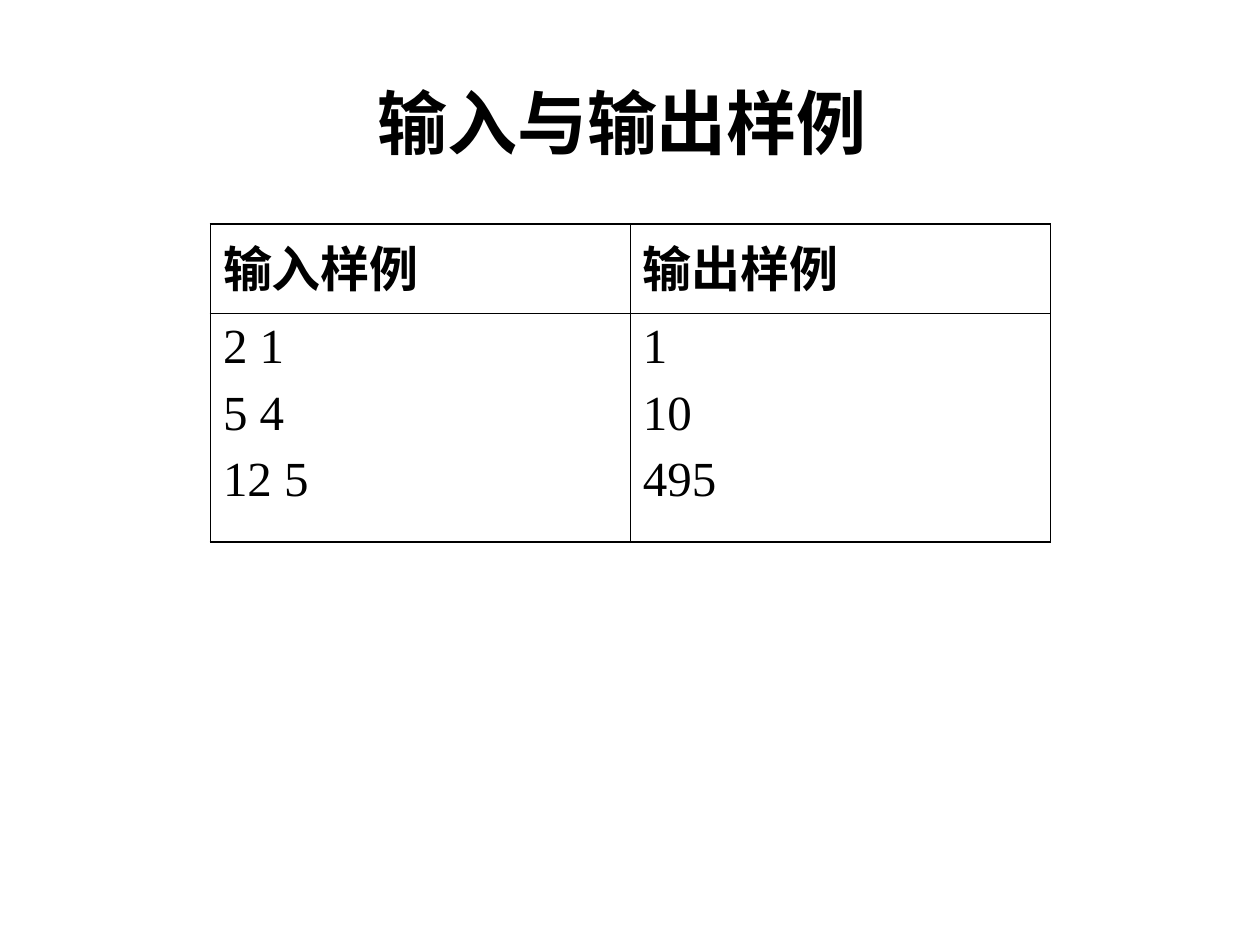
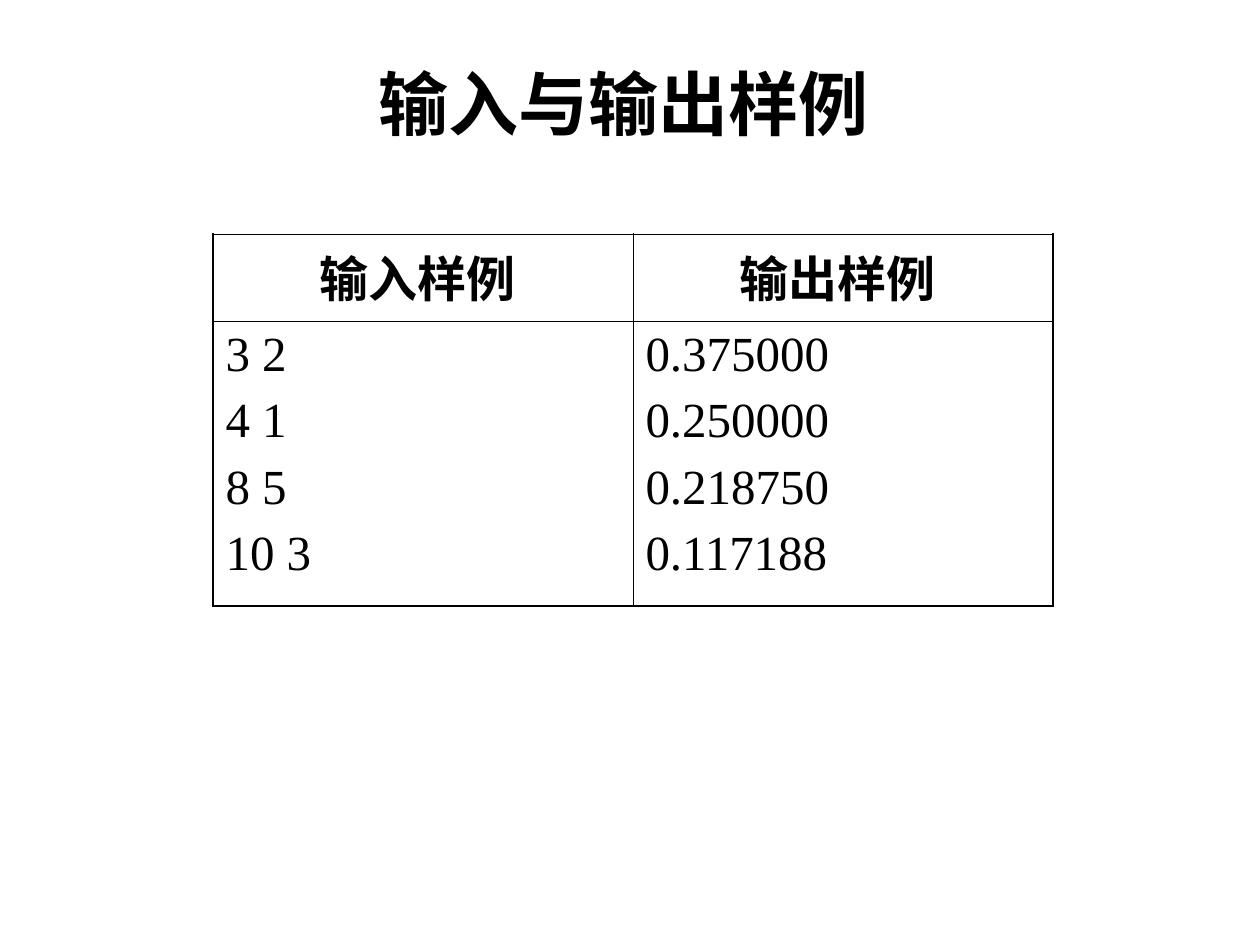
from dataclasses import dataclass
from typing import Optional

from lxml.etree import SubElement
from pptx import Presentation
from pptx.dml.color import RGBColor
from pptx.enum.text import MSO_ANCHOR, PP_ALIGN
from pptx.oxml.ns import qn
from pptx.util import Inches, Pt

BLACK = RGBColor(0x00, 0x00, 0x00)
WHITE = RGBColor(0xFF, 0xFF, 0xFF)
FONT = "Times New Roman"
W, H = 10, 7.5
TABLE_W = W * 2 / 3
TITLE_H = H / 6
OUTER, INNER = 1.08, 0.45
TITLE = "输入与输出样例 "
HEADERS = ("输入样例 ", "输出样例 ")
TITLE_FONT = {"name": FONT, "size": Pt(40), "bold": True}
HEAD_FONT = {"name": FONT, "size": Pt(28), "bold": True}
BODY_FONT = {**HEAD_FONT, "bold": False}
TITLE_PARA = {"alignment": PP_ALIGN.CENTER, "line_spacing": 0.88}
CELL_PARA = {"space_before": Pt(7)}
FRAME = {"word_wrap": True, "vertical_anchor": MSO_ANCHOR.TOP}
PLAIN_TABLE = {"first_row": False, "horz_banding": False}


@dataclass(frozen=True)
class Sample:
    """A slide of sample input and output, placed in inches."""

    title_box: tuple[float, float, float]
    table_at: tuple[float, float]
    row_heights: tuple[float, float]
    inputs: tuple[str, ...]
    outputs: tuple[str, ...]
    header_align: Optional[PP_ALIGN] = None


SAMPLES = (
    Sample((0.75, 0.67, 8.5), (1.67, 1.78), (0.71, 1.81),
           ("2 1", "5 4", "12 5 "), ("1", "10", "495 ")),
    Sample((0.51, 0.52, 9), (1.69, 1.86), (0.69, 2.26),
           ("3 2", "4 1", "8 5", "10 3 "),
           ("0.375000", "0.250000", "0.218750", "0.117188 "),
           PP_ALIGN.CENTER),
)


def apply(target, formats: dict) -> None:
    """Set every attribute in the format dict."""
    for name, value in formats.items():
        setattr(target, name, value)


def write(tf, lines: tuple[str, ...], font: dict, para: dict) -> None:
    """Write one formatted paragraph for each line."""
    for i, line in enumerate(lines):
        p = tf.add_paragraph() if i else tf.paragraphs[0]
        apply(p, para)
        r = p.add_run()
        r.text = line
        apply(r.font, font)
        r.font.color.rgb = BLACK


def add_title(s, box: tuple[float, float, float]) -> None:
    """Add the shared slide title."""
    left, top, width = box
    sp = s.shapes.add_textbox(Inches(left), Inches(top), Inches(width), Inches(TITLE_H))
    apply(sp.text_frame, FRAME)
    write(sp.text_frame, (TITLE,), TITLE_FONT, TITLE_PARA)


def set_borders(cell, row: int, col: int) -> None:
    """Draw heavy outer and thin inner borders round a cell of the 2 by 2 grid."""
    tc_pr = cell._tc.get_or_add_tcPr()
    outer = {"L": col == 0, "R": col == 1, "T": row == 0, "B": row == 1}
    for i, (side, is_outer) in enumerate(outer.items()):
        ln = tc_pr.makeelement(qn(f"a:ln{side}"), {"w": str(Pt(OUTER if is_outer else INNER))})
        fill = SubElement(ln, qn("a:solidFill"))
        SubElement(fill, qn("a:srgbClr"), val=str(BLACK))
        tc_pr.insert(i, ln)


def add_sample_table(s, sample: Sample) -> None:
    """Add the table of sample inputs and outputs."""
    left, top = sample.table_at
    table = s.shapes.add_table(2, 2, Inches(left), Inches(top), Inches(TABLE_W),
                               Inches(sum(sample.row_heights))).table
    apply(table, PLAIN_TABLE)
    for row, height in zip(table.rows, sample.row_heights):
        row.height = Inches(height)
    head_para = {**CELL_PARA, "alignment": sample.header_align}
    for col, (header, values) in enumerate(zip(HEADERS, (sample.inputs, sample.outputs))):
        write(table.cell(0, col).text_frame, (header,), HEAD_FONT, head_para)
        write(table.cell(1, col).text_frame, values, BODY_FONT, CELL_PARA)
        for row in range(2):
            cell = table.cell(row, col)
            cell.fill.background()
            set_borders(cell, row, col)


def add_sample_slide(prs, sample: Sample) -> None:
    """Add one sample slide on the blank layout."""
    s = prs.slides.add_slide(prs.slide_layouts[6])
    s.background.fill.solid()
    s.background.fill.fore_color.rgb = WHITE
    add_title(s, sample.title_box)
    add_sample_table(s, sample)


def main() -> None:
    """Build and save the presentation."""
    prs = Presentation()
    apply(prs, {"slide_width": Inches(W), "slide_height": Inches(H)})
    for sample in SAMPLES:
        add_sample_slide(prs, sample)
    prs.save("out.pptx")


main()
